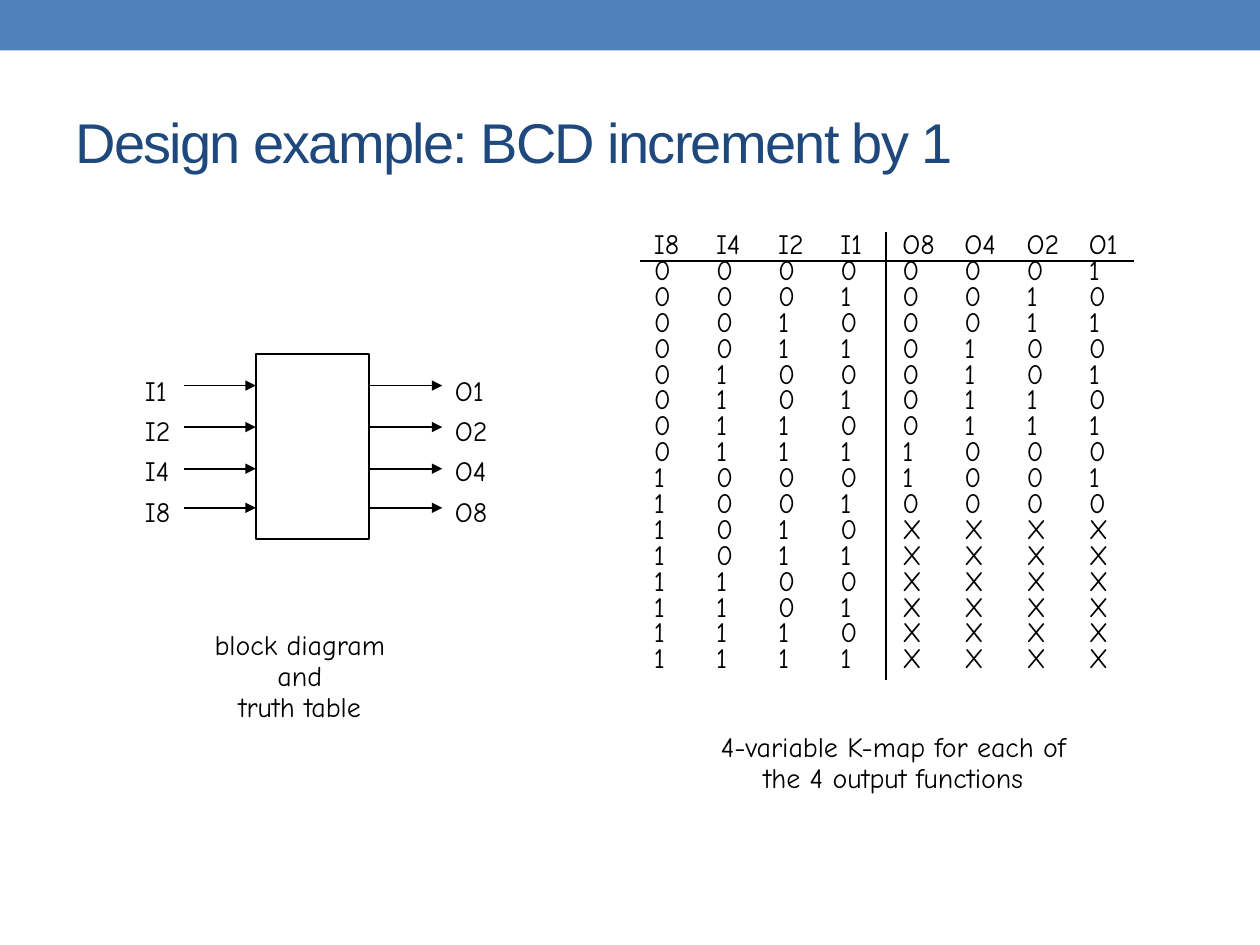
from lxml.etree import SubElement
from pptx import Presentation
from pptx.dml.color import RGBColor
from pptx.enum.shapes import MSO_CONNECTOR, MSO_SHAPE
from pptx.enum.text import MSO_ANCHOR, PP_ALIGN
from pptx.oxml.ns import qn
from pptx.util import Inches, Pt


def color(hex_value):
    return RGBColor.from_string(hex_value)


def add_text(place, text, align=PP_ALIGN.LEFT, spacing=1.0, size=16,
             font="Comic Neue", ink="000000", insets=(0.02, 0.03)):
    """Add a text box with one paragraph for each line of text."""
    box = slide.shapes.add_textbox(*map(Inches, place))
    frame = box.text_frame
    side, end = map(Inches, insets)
    frame_format = {"word_wrap": True, "margin_left": side, "margin_right": side,
                    "margin_top": end, "margin_bottom": end}
    for name, value in frame_format.items():
        setattr(frame, name, value)
    frame.text = text
    for para in frame.paragraphs:
        para.alignment = align
        para.line_spacing = spacing
        for span in para.runs:
            for name, value in {"name": font, "size": Pt(size)}.items():
                setattr(span.font, name, value)
            span.font.color.rgb = color(ink)
    return frame


deck = Presentation()
deck.slide_width, deck.slide_height = Inches(10), Inches(7.5)
slide = deck.slides.add_slide(deck.slide_layouts[6])

# Top band and block
for place, fill, line in [((0, 0, 10, 0.4), "4F81BD", None),
                          ((2.03, 2.81, 0.9, 1.47), None, "000000")]:
    box = slide.shapes.add_shape(MSO_SHAPE.RECTANGLE, *map(Inches, place))
    box.shadow.inherit = False
    if fill:
        box.fill.solid()
        box.fill.fore_color.rgb = color(fill)
    else:
        box.fill.background()
    if line:
        box.line.color.rgb = color(line)
        box.line.width = Pt(1)
    else:
        box.line.fill.background()

# Title
title = add_text((0.5, 0.58, 9, 1.08), "Design example: BCD increment by 1",
                 size=32, font="Arial", ink="1F497D", insets=(0.1, 0.05))
title.vertical_anchor = MSO_ANCHOR.MIDDLE
title.paragraphs[0].runs[0].font._element.set("spc", "-100")

# Truth table: the output is the input plus one, and X above 9
bits = (8, 4, 2, 1)
rows = [[f"{side}{bit}" for side in "IO" for bit in bits]]
for number in range(16):
    inputs = list(f"{number:04b}")
    outputs = list(f"{(number + 1) % 10:04b}" if number < 10 else "XXXX")
    rows.append(inputs + outputs)
table = add_text((5.17, 1.83, 4.07, 3.63),
                 "\n".join("\t".join(row) for row in rows), spacing=Pt(14.8))
for para in table.paragraphs:
    tabs = SubElement(para._p.get_or_add_pPr(), qn("a:tabLst"))
    for column in range(1, 8):
        SubElement(tabs, qn("a:tab"), pos=str(Inches(0.493 * column)), algn="l")

# Captions
for place, text in [
        ((1.43, 4.97, 1.9, 0.88), "block diagram\nand\ntruth table"),
        ((5.35, 5.78, 3.48, 0.63),
         "4-variable K-map for each of\nthe 4 output functions")]:
    add_text(place, text, PP_ALIGN.CENTER, Pt(17.8))

# Port labels
for side, left in [("I", 1.13), ("O", 3.59)]:
    labels = "\n".join(f"{side}{bit}" for bit in reversed(bits))
    add_text((left, 2.88, 0.33, 1.32), labels, spacing=1.2)

# Table rules and port arrows
lines = [(5.08, 2.07, 9, 2.07, False), (7.03, 1.84, 7.03, 5.4, False)]
for start in (1.46, 2.94):
    for height in (3.06, 3.39, 3.72, 4.03):
        lines.append((start, height, start + 0.57, height, True))
for *ends, has_arrow in lines:
    line = slide.shapes.add_connector(MSO_CONNECTOR.STRAIGHT, *map(Inches, ends))
    line.line.color.rgb = color("000000")
    line.line.width = Pt(1)
    if has_arrow:
        SubElement(line.line._get_or_add_ln(), qn("a:tailEnd"), type="triangle")
    SubElement(line._element.spPr, qn("a:effectLst"))

deck.save("out.pptx")
